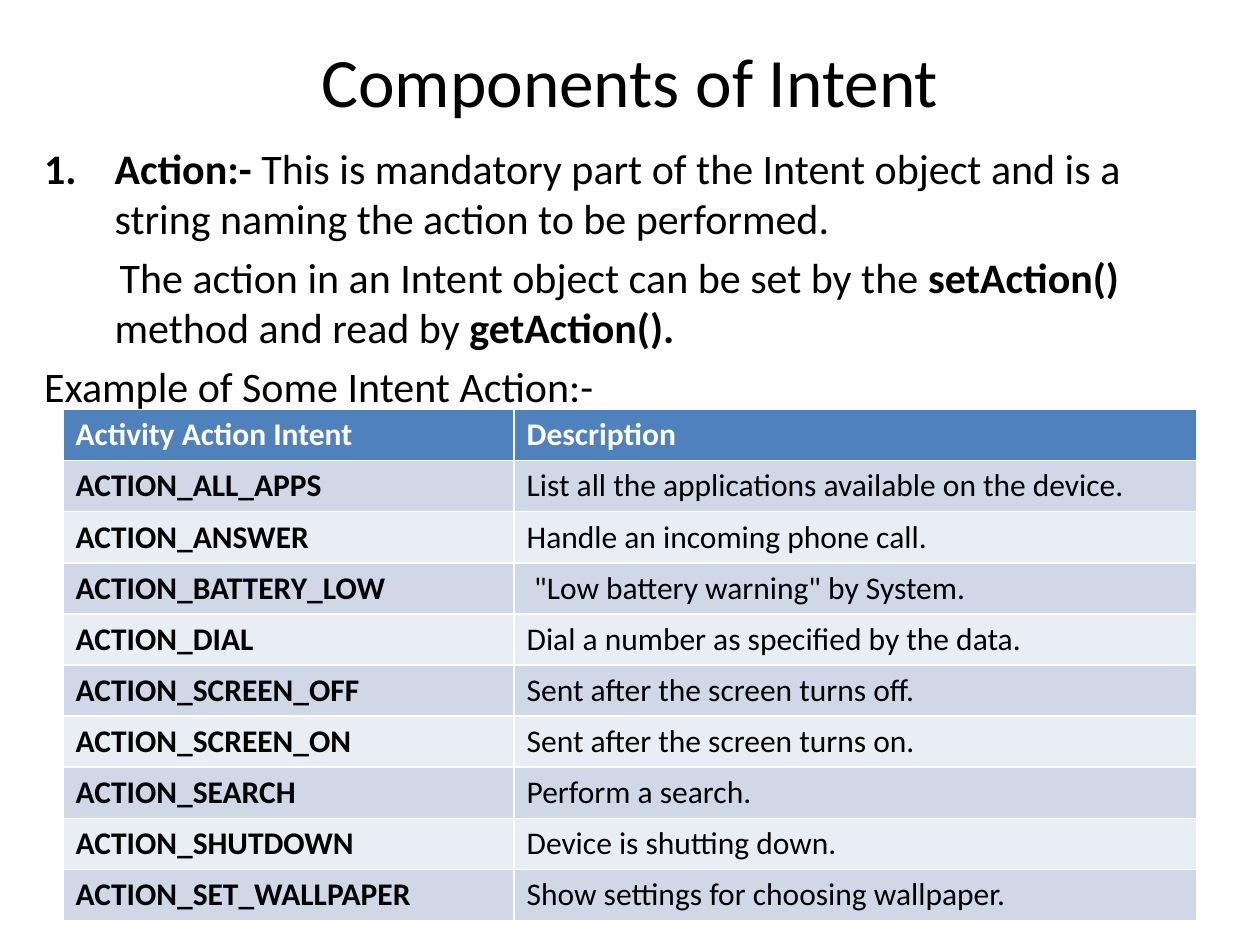
"""Build a slide on the action component of an Intent, with a table of example actions."""
from dataclasses import dataclass

from lxml.etree import SubElement
from pptx import Presentation
from pptx.dml.color import RGBColor
from pptx.enum.text import MSO_ANCHOR, MSO_AUTO_SIZE, PP_ALIGN
from pptx.oxml.ns import qn
from pptx.util import Inches, Pt


@dataclass(frozen=True)
class Theme:
    font: str = "Calibri"
    text: str = "000000"
    header_text: str = "FFFFFF"
    header_fill: str = "4F81BD"
    band_fills: tuple = ("E9EDF4", "D0D8E8")
    title_size: float = 39.6
    body_size: int = 24
    table_size: int = 18


theme = Theme()


def add_text(paragraph, text, *, size, bold=False, color=theme.text):
    run = paragraph.add_run()
    run.text = text
    run.font.name = theme.font
    run.font.size = Pt(size)
    run.font.bold = bold
    run.font.color.rgb = RGBColor.from_string(color)


def set_bullet(paragraph, first_indent, numbered):
    properties = paragraph._p.get_or_add_pPr()
    properties.set("marL", str(Inches(0.56)))
    properties.set("indent", str(Inches(first_indent)))
    if numbered:
        SubElement(properties, qn("a:buFont"), typeface="+mj-lt")
        SubElement(properties, qn("a:buAutoNum"), type="arabicPeriod")
    else:
        SubElement(properties, qn("a:buNone"))


presentation = Presentation()
presentation.slide_width = Inches(10)
presentation.slide_height = Inches(7.5)
slide = presentation.slides.add_slide(presentation.slide_layouts[1])
title, body = slide.placeholders

title.left, title.top = Inches(0.5), Inches(0.3)
title.width, title.height = Inches(9), Inches(1.25)
title_frame = title.text_frame
title_frame.auto_size = MSO_AUTO_SIZE.NONE
title_frame.vertical_anchor = MSO_ANCHOR.MIDDLE
title_frame.margin_top = 0
title_frame.margin_bottom = Inches(0.59)
title_paragraph = title_frame.paragraphs[0]
title_paragraph.alignment = PP_ALIGN.CENTER
add_text(title_paragraph, "Components of Intent", size=theme.title_size)

body.left, body.top = Inches(0.25), Inches(1.08)
body.width, body.height = Inches(9.42), Inches(6.25)
body_frame = body.text_frame
body_frame.auto_size = MSO_AUTO_SIZE.NONE
body_paragraphs = [
    (-0.56, True, [
        ("Action:- ", True),
        ("This is mandatory part of the Intent object and is a string "
         "naming the action to be performed.", False),
    ]),
    (0.04, False, [
        ("The action in an Intent object can be set by the ", False),
        ("setAction() ", True),
        ("method and read by ", False),
        ("getAction().", True),
    ]),
    (-0.56, False, [("Example of Some Intent Action:-", False)]),
]
for index, (first_indent, numbered, runs) in enumerate(body_paragraphs):
    paragraph = body_frame.add_paragraph() if index else body_frame.paragraphs[0]
    if index == 0:
        paragraph.space_before = Pt(0)
    set_bullet(paragraph, first_indent, numbered)
    for text, bold in runs:
        add_text(paragraph, text, size=theme.body_size, bold=bold)

rows = [
    ("Activity Action Intent", "Description"),
    ("ACTION_ALL_APPS", "List all the applications available on the device."),
    ("ACTION_ANSWER", "Handle an incoming phone call."),
    ("ACTION_BATTERY_LOW", "\"Low battery warning\" by System."),
    ("ACTION_DIAL", "Dial a number as specified by the data."),
    ("ACTION_SCREEN_OFF", "Sent after the screen turns off."),
    ("ACTION_SCREEN_ON", "Sent after the screen turns on."),
    ("ACTION_SEARCH", "Perform a search."),
    ("ACTION_SHUTDOWN", "Device is shutting down."),
    ("ACTION_SET_WALLPAPER", "Show settings for choosing wallpaper."),
]
table = slide.shapes.add_table(
    len(rows), 2, Inches(0.5), Inches(3.25), Inches(9), Inches(4.05)
).table
for column, width in zip(table.columns, (3.58, 5.42)):
    column.width = Inches(width)
for row_index, row in enumerate(rows):
    is_header = row_index == 0
    fill = theme.header_fill if is_header else theme.band_fills[row_index % 2]
    color = theme.header_text if is_header else theme.text
    for column_index, text in enumerate(row):
        cell = table.cell(row_index, column_index)
        cell.fill.solid()
        cell.fill.fore_color.rgb = RGBColor.from_string(fill)
        if text.startswith("\""):
            cell.margin_left = Inches(0.16)
        add_text(cell.text_frame.paragraphs[0], text, size=theme.table_size,
                 bold=is_header or column_index == 0, color=color)

presentation.save("out.pptx")
